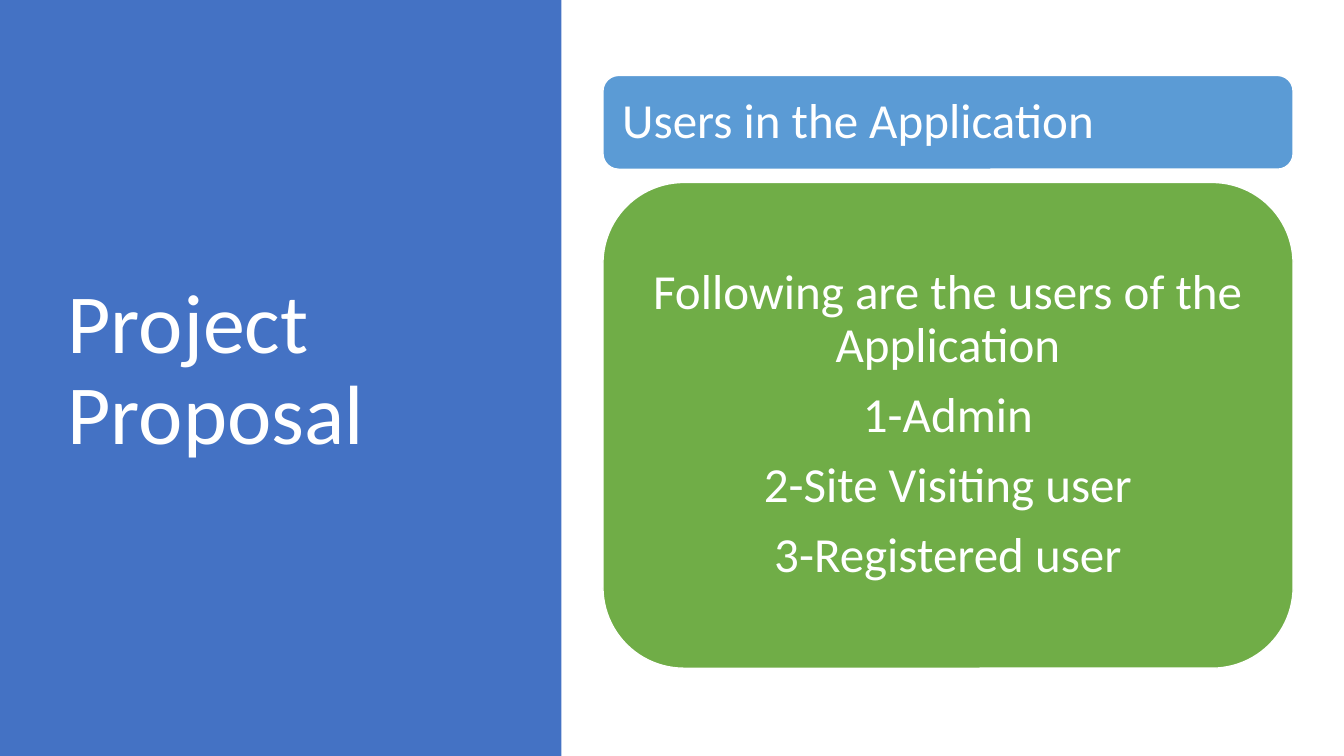
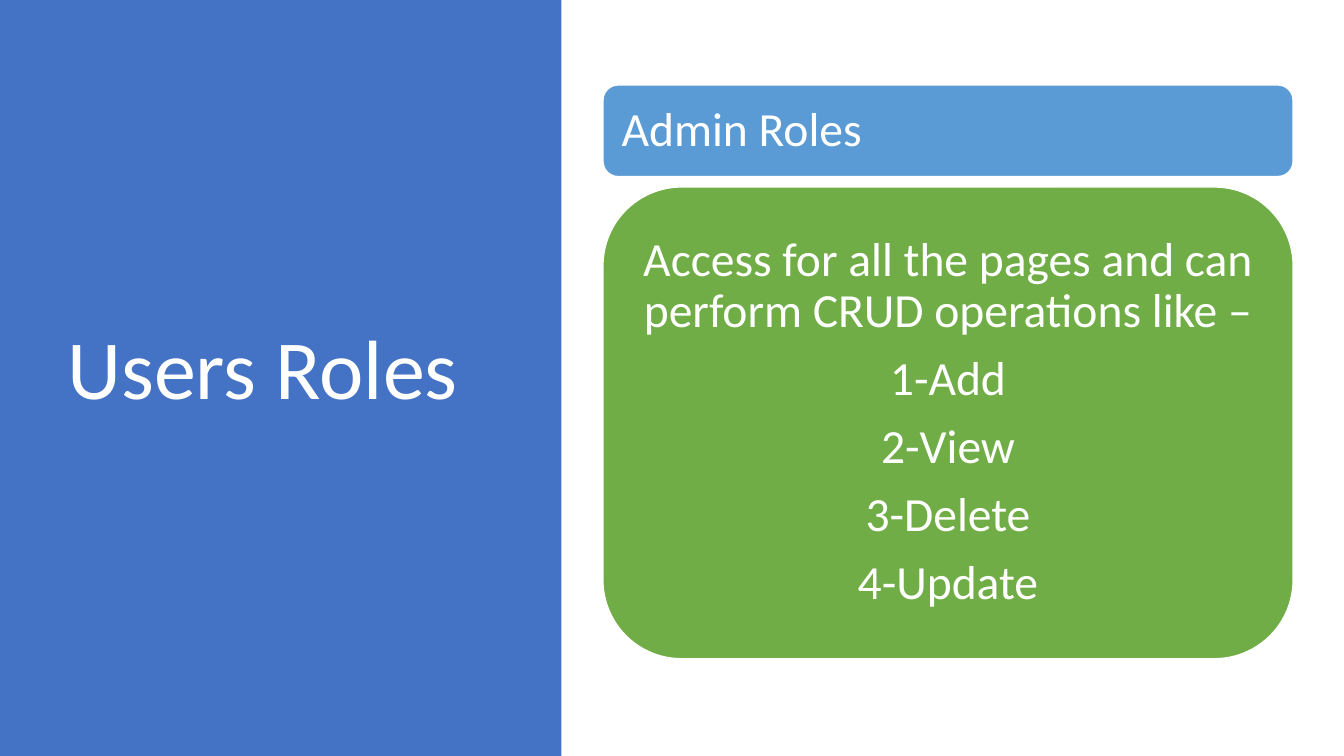
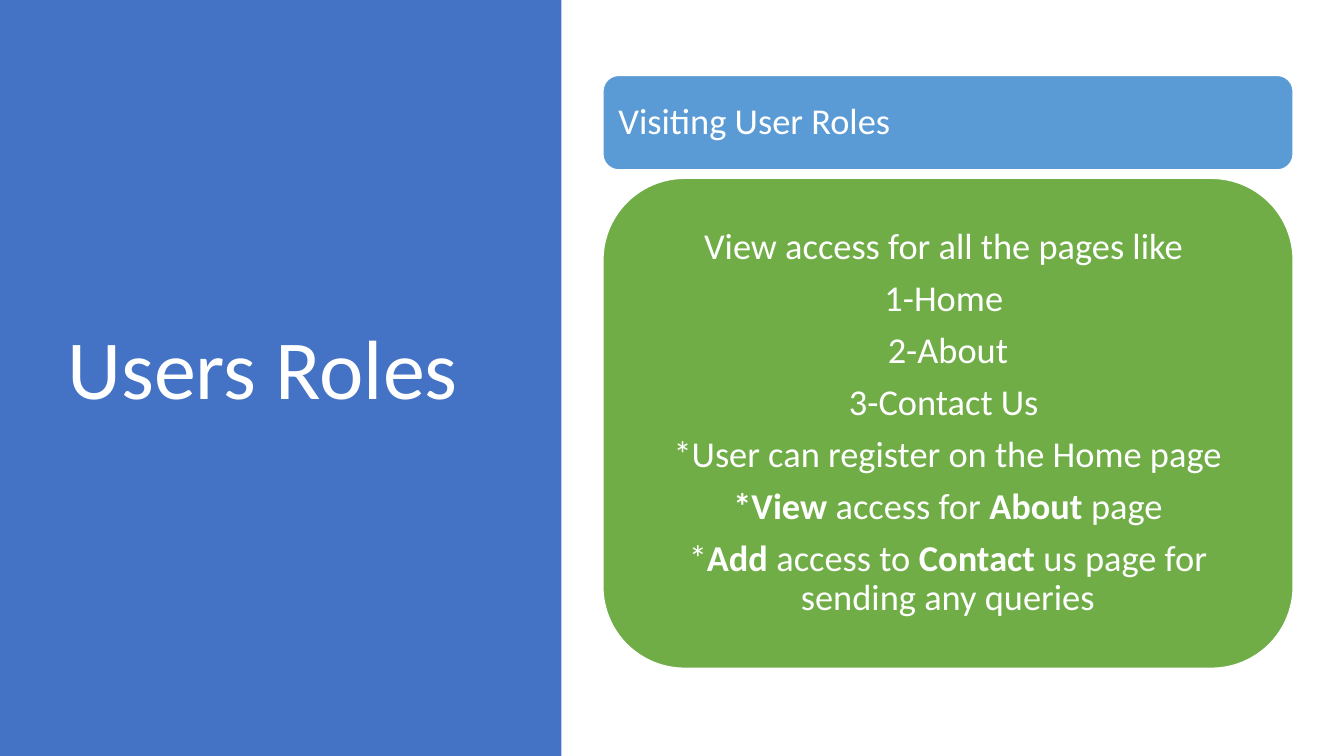
"""Build three project proposal slides with a title band and two stacked panels."""
from pptx import Presentation
from pptx import util as u
from pptx.dml import color
from pptx.enum import shapes, text

SLIDES = [
    {"title": "Project Proposal", "heading": "Users in the Application",
     "size": 35, "heading_height": 67, "gap": 9.4, "list_height": 347,
     "lines": ["Following are the users of the Application",
               "1-Admin", "2-Site Visiting user", "3-Registered user"]},
    {"title": "Users Roles", "heading": "Admin Roles",
     "size": 34, "heading_height": 65.5, "gap": 7.4, "list_height": 337,
     "lines": ["Access for all the pages and can perform CRUD operations like – ",
               "1-Add", "2-View", "3-Delete", "4-Update"]},
    {"title": "Users Roles", "heading": "Visiting User Roles",
     "size": 26, "heading_height": 67.5, "gap": 6, "list_height": 350,
     "lines": ["View access for all the pages like ",
               "1-Home ", "2-About", "3-Contact Us ",
               "*User can register on the Home page",
               "|*View| access for |About| page",
               "*|Add| access to |Contact| us page for sending any queries"]},
]
COLORS = {"band": "4472C4", "heading": "5B9BD5", "list": "70AD47", "white": "FFFFFF"}
FONT = "Calibri"
BOLD_MARK = "|"
SLIDE_WIDTH, SLIDE_HEIGHT = 960, 540
BAND_WIDTH = 401
TITLE_BOX = (41, 49, 299.5, 433.5)
TITLE_SIZE = 60
PANEL_LEFT, PANEL_WIDTH = 430.7, 493
STACK_MIDDLE = 265.6
INSET_RATIO, SPACE_RATIO = 0.3, 0.35


def rgb(name):
    return color.RGBColor.from_string(COLORS[name])


def write(box, lines, size, align, inset=None, space=0):
    frame = box.text_frame
    settings = {"word_wrap": True, "auto_size": text.MSO_AUTO_SIZE.NONE,
                "vertical_anchor": text.MSO_ANCHOR.MIDDLE}
    if inset is not None:
        for side in ("left", "top", "right", "bottom"):
            settings[f"margin_{side}"] = u.Pt(inset)
    for name, value in settings.items():
        setattr(frame, name, value)
    for index, line in enumerate(lines):
        para = frame.add_paragraph() if index else frame.paragraphs[0]
        layout = {"alignment": align, "line_spacing": 0.9, "space_after": u.Pt(space)}
        for name, value in layout.items():
            setattr(para, name, value)
        for part, words in enumerate(line.split(BOLD_MARK)):
            if not words:
                continue
            span = para.add_run()
            span.text = words
            style = {"name": FONT, "size": u.Pt(size), "bold": part % 2 == 1}
            for name, value in style.items():
                setattr(span.font, name, value)
            span.font.color.rgb = rgb("white")


def add_block(page, kind, place, fill):
    block = page.shapes.add_shape(kind, *map(u.Pt, place))
    block.shadow.inherit = False
    block.fill.solid()
    block.fill.fore_color.rgb = rgb(fill)
    return block


def add_panel(page, top, height, fill, lines, size, align):
    place = (PANEL_LEFT, top, PANEL_WIDTH, height)
    panel = add_block(page, shapes.MSO_SHAPE.ROUNDED_RECTANGLE, place, fill)
    panel.line.color.rgb = rgb("white")
    panel.line.width = u.Pt(1)
    write(panel, lines, size, align, size * INSET_RATIO, size * SPACE_RATIO)


def add_page(deck, content):
    page = deck.slides.add_slide(deck.slide_layouts.get_by_name("Title Only"))
    title = page.shapes.title
    for name, value in zip(("left", "top", "width", "height"), TITLE_BOX):
        setattr(title, name, u.Pt(value))
    write(title, [content["title"]], TITLE_SIZE, text.PP_ALIGN.LEFT)

    band = add_block(page, shapes.MSO_SHAPE.RECTANGLE,
                     (0, 0, BAND_WIDTH, SLIDE_HEIGHT), "band")
    band.line.fill.background()
    title.element.addprevious(band.element)

    size, heading_height = content["size"], content["heading_height"]
    offset = heading_height + content["gap"]
    top = STACK_MIDDLE - (offset + content["list_height"]) / 2
    add_panel(page, top, heading_height, "heading",
              [content["heading"]], size, text.PP_ALIGN.LEFT)
    add_panel(page, top + offset, content["list_height"], "list",
              content["lines"], size, text.PP_ALIGN.CENTER)


def main():
    deck = Presentation()
    deck.slide_width, deck.slide_height = u.Pt(SLIDE_WIDTH), u.Pt(SLIDE_HEIGHT)
    for content in SLIDES:
        add_page(deck, content)
    deck.save("out.pptx")


if __name__ == "__main__":
    main()
